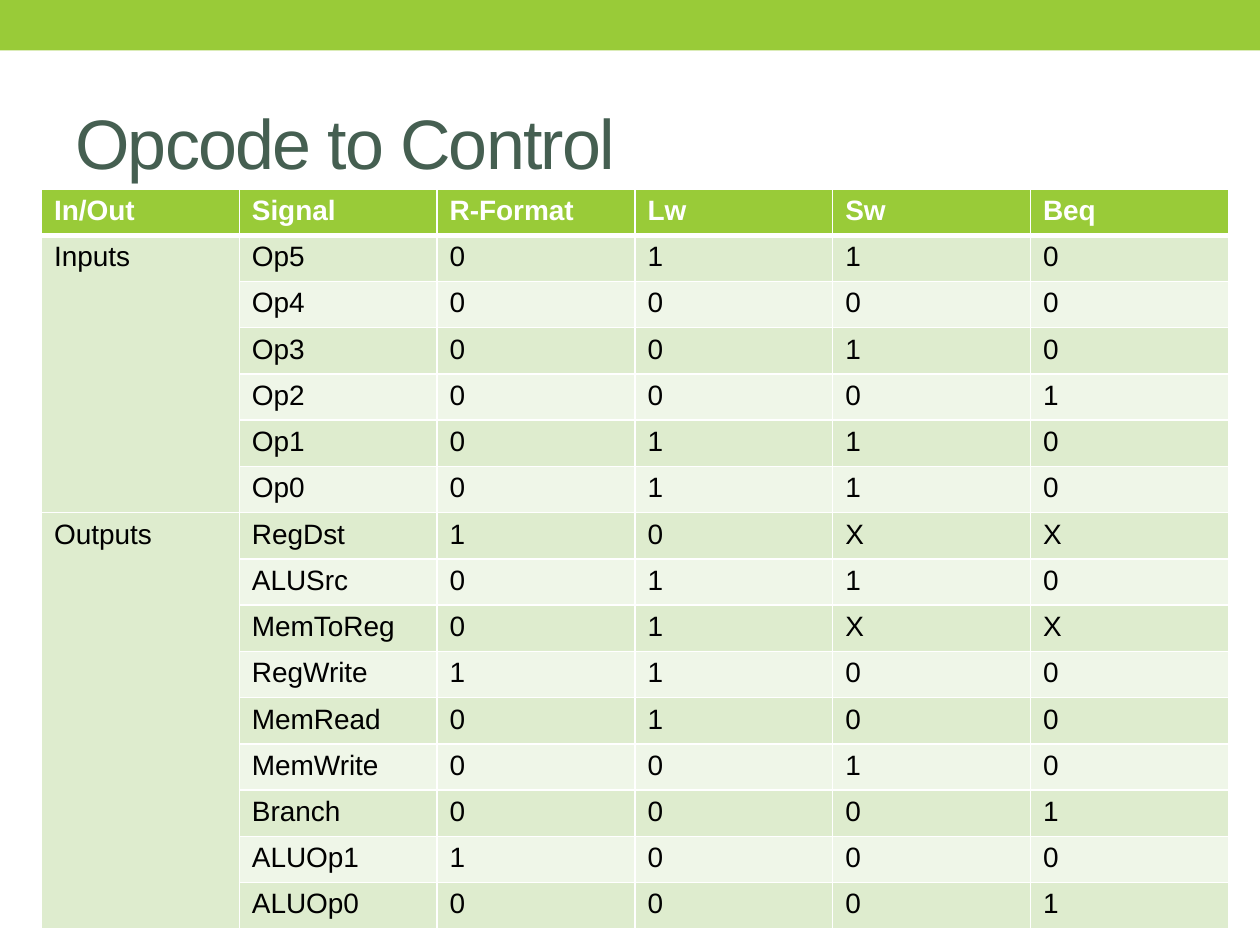
from dataclasses import dataclass

from lxml import etree
from pptx import Presentation
from pptx.dml.color import RGBColor
from pptx.enum.shapes import MSO_SHAPE
from pptx.enum.text import MSO_ANCHOR
from pptx.oxml.ns import qn
from pptx.util import Inches, Pt

RECT = MSO_SHAPE.RECTANGLE
MIDDLE = MSO_ANCHOR.MIDDLE
FONT = "Arial"
COLORS = {
    "green": "99CB38",
    "title": "455F51",
    "dark": "DEECCE",
    "light": "EFF6E8",
    "white": "FFFFFF",
    "black": "000000",
}


@dataclass
class Signal:
    name: str
    bits: str  # one value each for R-Format, Lw, Sw and Beq


@dataclass
class Group:
    name: str
    signals: list[Signal]


HEADS = ["In/Out", "Signal", "R-Format", "Lw", "Sw", "Beq"]
GROUPS = [
    Group("Inputs", [
        Signal("Op5", "0110"),
        Signal("Op4", "0000"),
        Signal("Op3", "0010"),
        Signal("Op2", "0001"),
        Signal("Op1", "0110"),
        Signal("Op0", "0110"),
    ]),
    Group("Outputs", [
        Signal("RegDst", "10XX"),
        Signal("ALUSrc", "0110"),
        Signal("MemToReg", "01XX"),
        Signal("RegWrite", "1100"),
        Signal("MemRead", "0100"),
        Signal("MemWrite", "0010"),
        Signal("Branch", "0001"),
        Signal("ALUOp1", "1000"),
        Signal("ALUOp0", "0001"),
    ]),
]


def color(name: str) -> RGBColor:
    return RGBColor.from_string(COLORS[name])


def style(para, size: float, ink: str, bold: bool = False) -> None:
    font = para.font
    font.name, font.size, font.bold = FONT, Pt(size), bold
    font.color.rgb = color(ink)


def add_band(slide) -> None:
    band = slide.shapes.add_shape(RECT, 0, 0, Inches(10), Inches(0.4))
    band.shadow.inherit = False
    band.fill.solid()
    band.fill.fore_color.rgb = color("green")
    band.line.fill.background()


def add_title(slide, text: str) -> None:
    box = slide.shapes.add_textbox(Inches(0.5), Inches(0.58), Inches(9), Inches(1.08))
    frame = box.text_frame
    frame.word_wrap = True
    frame.vertical_anchor = MIDDLE
    para = frame.paragraphs[0]
    run = para.add_run()
    run.text = text
    style(para, 40, "title")
    run.font._element.set("spc", "-100")


def add_borders(cell, top: float, bottom: float) -> None:
    props = cell._tc.get_or_add_tcPr()
    sides = {"lnL": 1, "lnR": 1, "lnT": top, "lnB": bottom}
    for spot, (tag, width) in enumerate(sides.items()):
        line = etree.Element(qn(f"a:{tag}"), w=str(Pt(width)))
        fill = etree.SubElement(line, qn("a:solidFill"))
        etree.SubElement(fill, qn("a:srgbClr"), val=COLORS["white"])
        props.insert(spot, line)


def fill_cell(cell, text: str, fill: str, ink: str, bold: bool = False) -> None:
    cell.text = text
    style(cell.text_frame.paragraphs[0], 16, ink, bold)
    cell.fill.solid()
    cell.fill.fore_color.rgb = color(fill)


def add_grid(slide) -> None:
    count = 1 + sum(len(group.signals) for group in GROUPS)
    width, height = Inches(9.42), Inches(5.83)
    table = slide.shapes.add_table(
        count, len(HEADS), Inches(0.33), Inches(1.5), width, height).table
    for col in table.columns:
        col.width = width // len(HEADS)
    for row in table.rows:
        row.height = height // count

    # Header row
    for col, head in enumerate(HEADS):
        fill_cell(table.cell(0, col), head, "green", "white", True)

    # Signal rows, banded, with one merged label for each group
    row = 1
    for group in GROUPS:
        first = row
        for signal in group.signals:
            fill = "dark" if row % 2 else "light"
            for col, text in enumerate([signal.name, *signal.bits], 1):
                fill_cell(table.cell(row, col), text, fill, "black")
            row += 1
        label = table.cell(first, 0)
        label.merge(table.cell(row - 1, 0))
        fill_cell(label, group.name, "dark", "black")

    # White rules, thicker under the header
    for row in range(count):
        for col in range(len(HEADS)):
            add_borders(table.cell(row, col),
                        3 if row == 1 else 1, 3 if row == 0 else 1)


def main() -> None:
    deck = Presentation()
    deck.slide_width, deck.slide_height = Inches(10), Inches(7.5)
    slide = deck.slides.add_slide(deck.slide_layouts[6])
    add_band(slide)
    add_title(slide, "Opcode to Control")
    add_grid(slide)
    deck.save("out.pptx")


if __name__ == "__main__":
    main()
